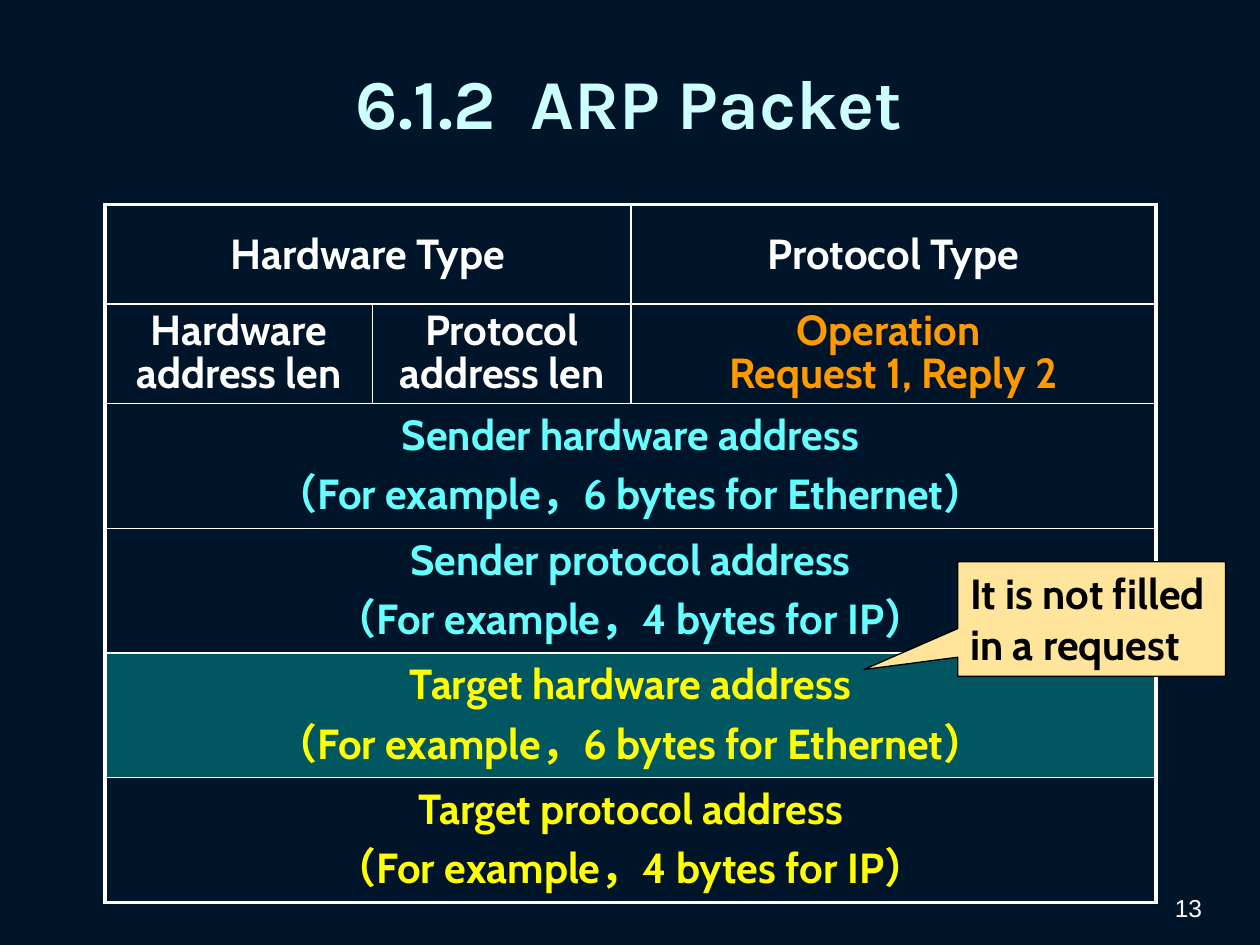
from lxml.etree import SubElement
from pptx import Presentation
from pptx.dml.color import RGBColor
from pptx.enum.shapes import MSO_SHAPE as Preset
from pptx.enum.text import MSO_ANCHOR as Anchor, MSO_AUTO_SIZE as AutoSize, PP_ALIGN as Align
from pptx.oxml import parse_xml
from pptx.oxml.ns import nsdecls, qn
from pptx.util import Pt

NAVY = RGBColor(0x00, 0x15, 0x2A)
WHITE = RGBColor(0xFF, 0xFF, 0xFF)
BLACK = RGBColor(0x00, 0x00, 0x00)
ICE = RGBColor(0xCC, 0xFF, 0xFF)
CYAN = RGBColor(0x66, 0xFF, 0xFF)
YELLOW = RGBColor(0xFF, 0xFF, 0x00)
ORANGE = RGBColor(0xFF, 0x99, 0x00)
TEAL = RGBColor(0x00, 0x99, 0x99)
CREAM = RGBColor(0xFF, 0xE5, 0x9B)

NO_TABLE_STYLE = "{2D5ABB26-0587-4C30-8999-92F81FD0307C}"
OUTER, INNER = 2.25, 1

ETHERNET = "（For example，6 bytes for Ethernet）"
IP = "（For example，4 bytes for IP）"

# Packet fields: row, first column, columns spanned, lines, format
FIELDS = [
    (0, 0, 2, ["Hardware Type"], dict(before=3.6)),
    (0, 2, 1, ["Protocol Type"], dict(before=3.6)),
    (1, 0, 1, ["Hardware address len"], dict(spacing=0.85)),
    (1, 1, 1, ["Protocol address len"], dict(spacing=0.85)),
    (1, 2, 1, ["Operation ", "Request 1, Reply 2"], dict(spacing=0.85, color=ORANGE)),
    (2, 0, 3, ["Sender hardware address", ETHERNET], dict(color=CYAN)),
    (3, 0, 3, ["Sender protocol address", IP], dict(color=CYAN)),
    (4, 0, 3, ["Target hardware address", ETHERNET], dict(color=YELLOW)),
    (5, 0, 3, ["Target protocol address", IP], dict(color=YELLOW)),
]
HIGHLIGHTED_ROW = 4


def write(frame, *lines, font="Cabin", size=24, color=WHITE, bold=True,
          align=Align.CENTER, before=0, spacing=None):
    """Fill a text frame, one paragraph for each line."""
    for index, line in enumerate(lines):
        paragraph = frame.add_paragraph() if index else frame.paragraphs[0]
        paragraph.alignment = align
        paragraph.space_before = Pt(before)
        if spacing:
            paragraph.line_spacing = spacing
        run = paragraph.add_run()
        run.text = line
        run.font.name, run.font.size, run.font.bold = font, Pt(size), bold
        run.font.color.rgb = color


def draw_borders(cell, widths):
    """Put the given borders ahead of the fill, as the schema asks."""
    properties = cell._tc.get_or_add_tcPr()
    sides = [side for side in "LRTB" if side in widths]
    for place, side in enumerate(sides):
        properties.insert(place, parse_xml(
            f'<a:ln{side} {nsdecls("a")} w="{Pt(widths[side])}"><a:solidFill>'
            f'<a:srgbClr val="{WHITE}"/></a:solidFill></a:ln{side}>'))


class PacketSlide:
    def __init__(self, deck):
        self.slide = deck.slides.add_slide(deck.slide_layouts[5])
        self.slide.background.fill.solid()
        self.slide.background.fill.fore_color.rgb = NAVY

    def title(self, text, left, top, width, height):
        heading = self.slide.shapes.title
        heading.left, heading.top = Pt(left), Pt(top)
        heading.width, heading.height = Pt(width), Pt(height)
        heading.text_frame.vertical_anchor = Anchor.MIDDLE
        write(heading.text_frame, text, font="Karla", size=40, color=ICE)

    def label(self, text, left, top, width, height, **style):
        frame = self.slide.shapes.add_textbox(
            Pt(left), Pt(top), Pt(width), Pt(height)).text_frame
        frame.word_wrap = True
        frame.vertical_anchor = Anchor.BOTTOM
        write(frame, text, **style)

    def packet(self, left, top, widths, heights):
        rows, columns = len(heights), len(widths)
        table = self.slide.shapes.add_table(
            rows, columns, Pt(left), Pt(top), Pt(sum(widths)), Pt(sum(heights))).table
        table.first_row = table.horz_banding = False
        table._tbl.tblPr.find(qn("a:tableStyleId")).text = NO_TABLE_STYLE
        for column, width in zip(table.columns, widths):
            column.width = Pt(width)
        for row, height in zip(table.rows, heights):
            row.height = Pt(height)

        for row, first, span, lines, style in FIELDS:
            last = first + span - 1
            field = table.cell(row, first)
            if span > 1:
                field.merge(table.cell(row, last))
            field.vertical_anchor = Anchor.MIDDLE
            write(field.text_frame, *lines, **style)
            edges = {
                "L": INNER if first else OUTER,
                "R": OUTER if last == columns - 1 else INNER,
                "T": INNER if row else OUTER,
                "B": OUTER if row == rows - 1 else INNER,
            }
            for column in range(first, last + 1):
                cell = table.cell(row, column)
                self.fill_cell(cell, row == HIGHLIGHTED_ROW)
                shown = {"T", "B"}
                if column == first:
                    shown |= {"L", "R"}
                if column == last:
                    shown.add("R")
                draw_borders(cell, {side: edges[side] for side in shown})

    def fill_cell(self, cell, highlighted):
        if not highlighted:
            cell.fill.background()
            return
        cell.fill.solid()
        cell.fill.fore_color.rgb = TEAL
        tint = cell._tc.tcPr.find(".//" + qn("a:srgbClr"))
        SubElement(tint, qn("a:alpha"), val="50000")

    def callout(self, text, left, top, width, height, tip):
        note = self.slide.shapes.add_shape(
            Preset.RECTANGULAR_CALLOUT, Pt(left), Pt(top), Pt(width), Pt(height))
        note.adjustments[0], note.adjustments[1] = tip
        note.shadow.inherit = False
        note.fill.solid()
        note.fill.fore_color.rgb = CREAM
        note.line.color.rgb = BLACK
        note.line.width = Pt(0.75)
        frame = note.text_frame
        frame.word_wrap = True
        frame.auto_size = AutoSize.SHAPE_TO_FIT_TEXT
        frame.vertical_anchor = Anchor.TOP
        write(frame, text, color=BLACK, align=Align.LEFT)


def main():
    deck = Presentation()
    deck.slide_width, deck.slide_height = Pt(720), Pt(540)
    page = PacketSlide(deck)

    # Page number and title
    page.label("13", 526.5, 497, 167.5, 33.5, font="Arial", size=14, bold=False,
               align=Align.RIGHT)
    page.title("6.1.2  ARP Packet", 25, 9.5, 669, 96.5)

    # Packet layout
    page.packet(60, 116.75, widths=[153, 147.5, 300], heights=[57, 57] + [71.25] * 4)

    # Remark on the target hardware address
    page.callout("It is not filled in a request", 547.25, 321, 153, 65.5,
                 tip=(-0.85, 0.44))

    deck.save("out.pptx")


if __name__ == "__main__":
    main()
